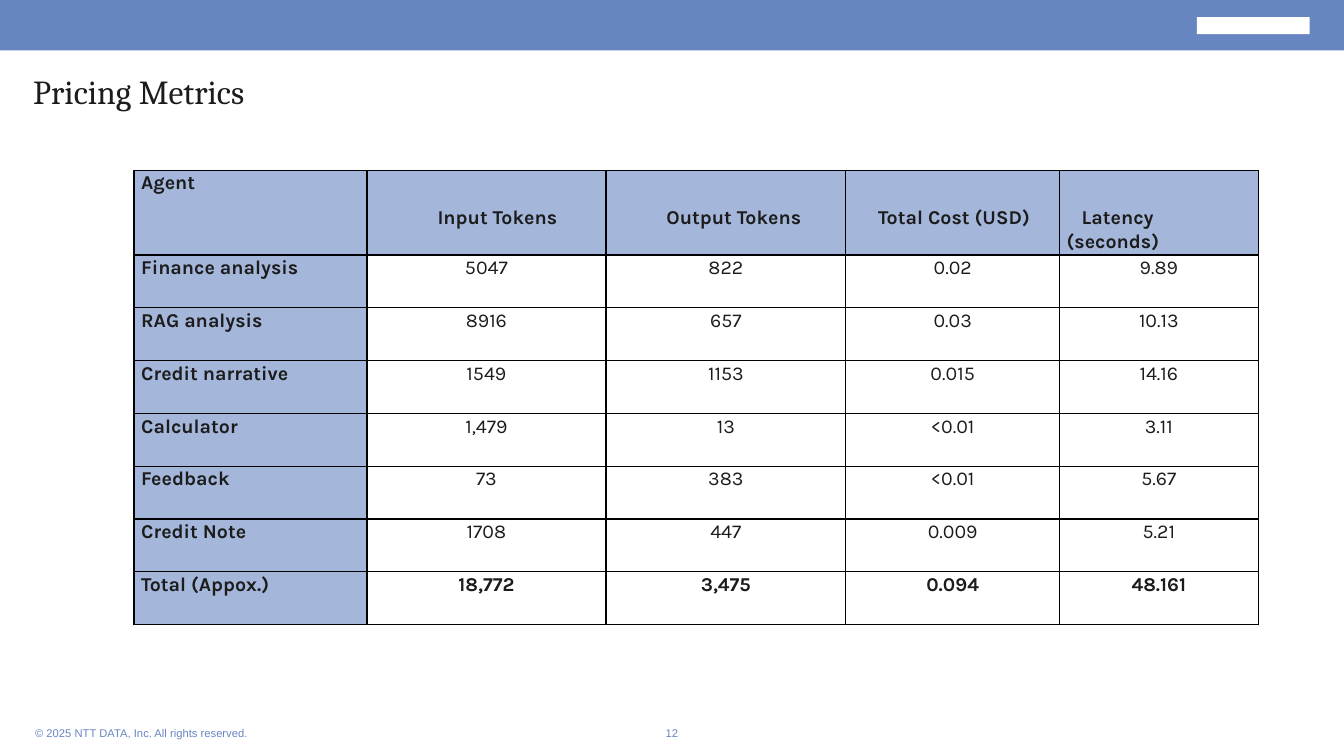
import dataclasses

import lxml.etree
import pptx
import pptx.dml.color
import pptx.enum.shapes
import pptx.enum.text
import pptx.oxml.ns
import pptx.util

Inches = pptx.util.Inches
Align = pptx.enum.text.PP_ALIGN
Anchor = pptx.enum.text.MSO_ANCHOR


@dataclasses.dataclass(frozen=True)
class Theme:
    blue: str = "6785C1"
    pale: str = "A4B6DA"
    ink: str = "1C1C1C"
    white: str = "FFFFFF"
    black: str = "000000"
    title: float = 24
    body: float = 14
    small: float = 8


@dataclasses.dataclass(frozen=True)
class Font:
    name: str
    size: float
    color: str
    bold: bool = False


@dataclasses.dataclass(frozen=True)
class Label:
    text: str
    box: tuple[float, float, float, float]
    font: Font
    align: Align = Align.LEFT
    anchor: Anchor = Anchor.MIDDLE
    inset: tuple[float, float] = (0.1, 0.05)


@dataclasses.dataclass(frozen=True)
class Column:
    head: str
    width: float
    indent: float = 0
    top: float = 0.34


THEME = Theme()
SMALL = Font("Arial", THEME.small, THEME.blue)

LABELS = [
    Label("Pricing Metrics", (0.33, 0.7, 12.67, 0.6),
          Font("Cambria", THEME.title, THEME.ink), anchor=Anchor.TOP, inset=(0, 0)),
    Label("© 2025 NTT DATA, Inc. All rights reserved.", (0.25, 7.17, 2.4, 0.2), SMALL),
    Label("12", (6.3, 7.17, 0.73, 0.2), SMALL, Align.CENTER),
]

COLUMNS = [
    Column("Agent", 2.31, top=0),
    Column("Input Tokens", 2.37, 0.63),
    Column("Output Tokens", 2.38, 0.53),
    Column("Total Cost (USD)", 2.12, 0.25),
    Column("Latency (seconds)", 1.97, 0.15),
]

AGENTS = [
    ("Finance analysis", "5047", "822", "0.02", "9.89"),
    ("RAG analysis", "8916", "657", "0.03", "10.13"),
    ("Credit narrative", "1549", "1153", "0.015", "14.16"),
    ("Calculator", "1,479", "13", "<0.01", "3.11"),
    ("Feedback", "73", "383", "<0.01", "5.67"),
    ("Credit Note", "1708", "447", "0.009", "5.21"),
    ("Total (Appox.)", "18,772", "3,475", "0.094", "48.161"),
]


def paint(fill, color: str) -> None:
    fill.solid()
    fill.fore_color.rgb = pptx.dml.color.RGBColor.from_string(color)


def write(para, text: str, font: Font, align: Align) -> None:
    para.alignment = align
    run = para.add_run()
    run.text = text
    run.font.name = font.name
    run.font.size = pptx.util.Pt(font.size)
    run.font.bold = font.bold
    run.font.color.rgb = pptx.dml.color.RGBColor.from_string(font.color)


def add_block(slide, box: tuple[float, ...], color: str) -> None:
    block = slide.shapes.add_shape(
        pptx.enum.shapes.MSO_SHAPE.RECTANGLE, *map(Inches, box))
    block.shadow.inherit = False
    paint(block.fill, color)
    block.line.fill.background()


def add_label(slide, label: Label) -> None:
    frame = slide.shapes.add_textbox(*map(Inches, label.box)).text_frame
    frame.word_wrap = True
    frame.vertical_anchor = label.anchor
    side, edge = map(Inches, label.inset)
    frame.margin_left = frame.margin_right = side
    frame.margin_top = frame.margin_bottom = edge
    write(frame.paragraphs[0], label.text, label.font, label.align)


def add_border(cell) -> None:
    props = cell._tc.get_or_add_tcPr()
    for place, tag in enumerate(("a:lnL", "a:lnR", "a:lnT", "a:lnB")):
        line = lxml.etree.Element(pptx.oxml.ns.qn(tag), w=str(pptx.util.Pt(1)))
        fill = lxml.etree.SubElement(line, pptx.oxml.ns.qn("a:solidFill"))
        lxml.etree.SubElement(fill, pptx.oxml.ns.qn("a:srgbClr"), val=THEME.black)
        props.insert(place, line)


def fill_cell(cell, text: str, bold: bool, align: Align, color: str) -> None:
    cell.margin_left = cell.margin_right = Inches(0.07)
    cell.margin_top = cell.margin_bottom = 0
    paint(cell.fill, color)
    add_border(cell)
    para = cell.text_frame.paragraphs[0]
    para.line_spacing = 1.07
    para.space_after = pptx.util.Pt(8)
    write(para, text, Font("Karla", THEME.body, THEME.ink, bold), align)


def add_prices(slide) -> None:
    width = sum(col.width for col in COLUMNS)
    table = slide.shapes.add_table(
        len(AGENTS) + 1, len(COLUMNS),
        Inches(1.33), Inches(1.69), Inches(width), Inches(4.43)).table
    table.first_row = table.horz_banding = False
    table.rows[0].height = Inches(0.76)
    for row in list(table.rows)[1:]:
        row.height = Inches(3.67 / len(AGENTS))

    # Header row: lowered heads, each with its own first-line indent
    for c, col in enumerate(COLUMNS):
        table.columns[c].width = Inches(col.width)
        cell = table.cell(0, c)
        fill_cell(cell, col.head, True, Align.LEFT, THEME.pale)
        cell.margin_top = Inches(col.top)
        cell.margin_right = Inches(0.2)
        props = cell.text_frame.paragraphs[0]._p.get_or_add_pPr()
        props.set("indent", str(Inches(col.indent)))

    # Agent rows, with the total in bold
    for r, agent in enumerate(AGENTS, 1):
        for c, text in enumerate(agent):
            first = c == 0
            fill_cell(table.cell(r, c), text, first or r == len(AGENTS),
                      Align.LEFT if first else Align.CENTER,
                      THEME.pale if first else THEME.white)


def main() -> None:
    deck = pptx.Presentation()
    deck.slide_width, deck.slide_height = Inches(13.33), Inches(7.5)
    slide = deck.slides.add_slide(deck.slide_layouts[6])

    # Top band and its badge
    add_block(slide, (0, 0, 13.33, 0.5), THEME.blue)
    add_block(slide, (11.87, 0.17, 1.12, 0.17), THEME.white)

    # Title, footer and price table
    for label in LABELS:
        add_label(slide, label)
    add_prices(slide)
    deck.save("out.pptx")


if __name__ == "__main__":
    main()
